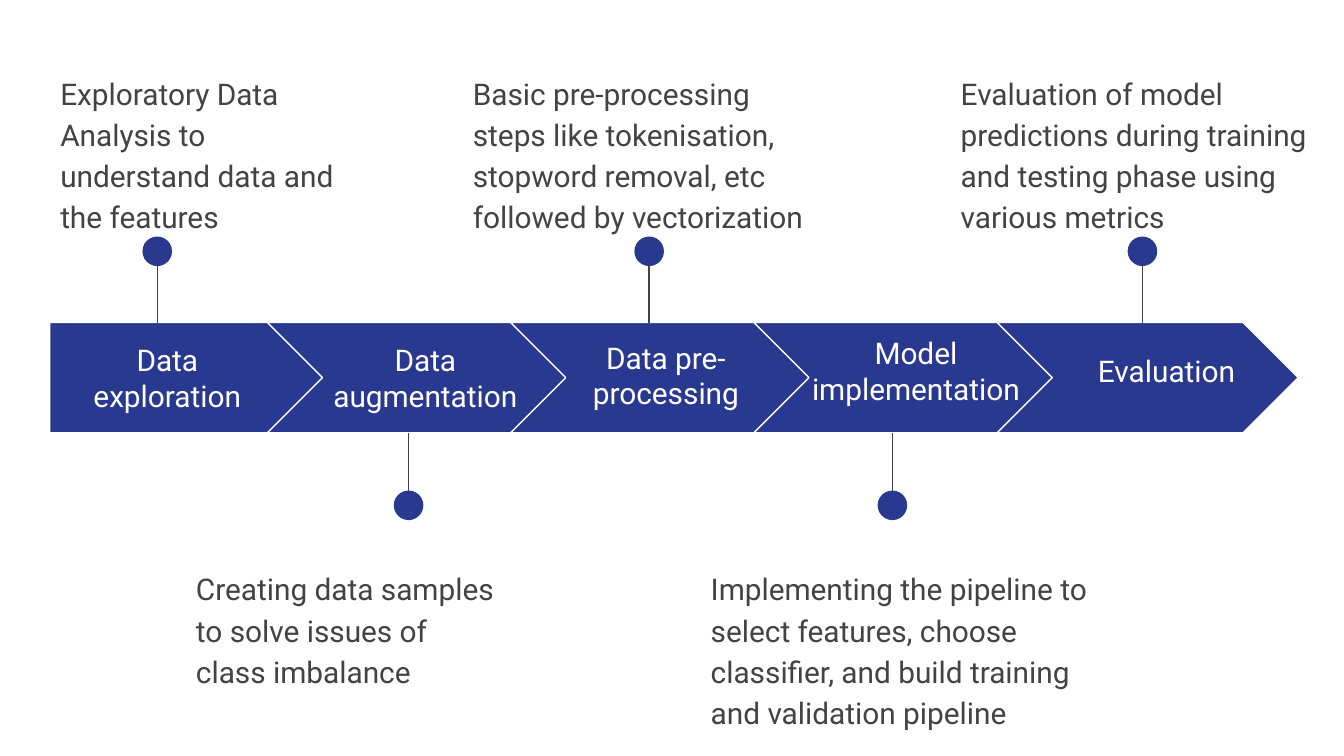
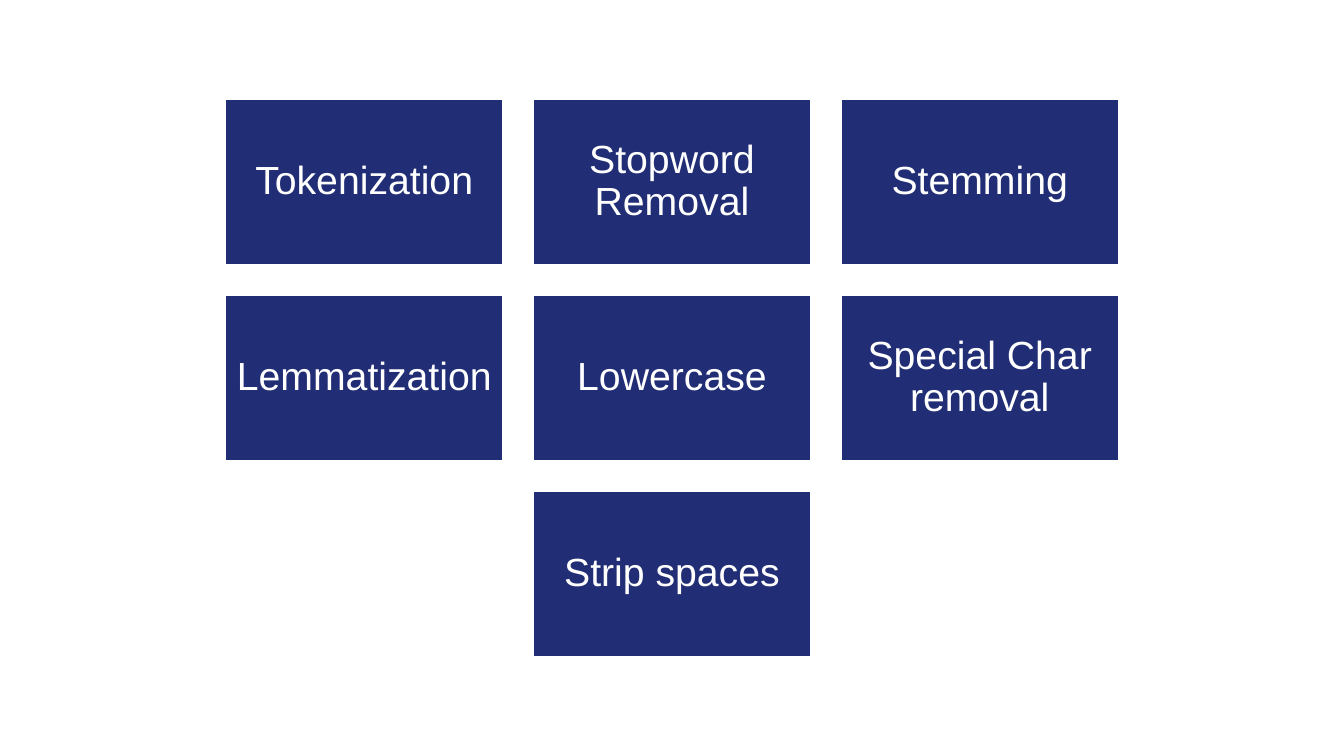
import dataclasses

import lxml.etree
import pptx
import pptx.dml.color
import pptx.enum.shapes
import pptx.enum.text
import pptx.oxml.ns
import pptx.util

Inches = pptx.util.Inches
Pt = pptx.util.Pt
RGBColor = pptx.dml.color.RGBColor
MSO_SHAPE = pptx.enum.shapes.MSO_SHAPE
PP_ALIGN = pptx.enum.text.PP_ALIGN
MSO_ANCHOR = pptx.enum.text.MSO_ANCHOR

WHITE = RGBColor(0xFF, 0xFF, 0xFF)
BLUE = RGBColor(0x2A, 0x39, 0x90)
NAVY = RGBColor(0x21, 0x2D, 0x74)
GRAY = RGBColor(0x43, 0x43, 0x43)
STEP_FONT = "Roboto"
CARD_FONT = "Arial"

SLIDE_WIDTH = 10
SLIDE_HEIGHT = SLIDE_WIDTH * 9 / 16
BLANK_LAYOUT = 6

STEP_PITCH = 1.81
BAND_LEFT, BAND_TOP, BAND_HEIGHT = 0.37, 2.4, 0.82
FIRST_STEP_WIDTH, CHEVRON_WIDTH = 2.05, 2.24
LABEL_HEIGHT = 0.51
CALLOUT_HEIGHT = 0.99
CALLOUT_ABOVE, CALLOUT_BELOW = 0.42, 4.11
DOT_SIZE = 0.22
DOT_ABOVE, DOT_BELOW = 1.76, 3.65

CARD_WIDTH, CARD_HEIGHT, CARD_GAP = 2.08, 1.25, 0.21
CARD_ROWS = [
    ["Tokenization", "Stopword Removal", "Stemming"],
    ["Lemmatization", "Lowercase", "Special Char removal"],
    ["Strip spaces"],
]


@dataclasses.dataclass
class Step:
    """One stage of the pipeline with its label and callout places."""

    label: str
    label_left: float
    label_width: float
    label_middle: float
    pin: float
    callout: str
    callout_left: float
    callout_width: float


STEPS = [
    Step("Data exploration", 0.45, 1.59, 2.81, 1.17,
         "Exploratory Data Analysis to understand data and the features", 0.35, 2.42),
    Step("Data augmentation", 2.32, 1.69, 2.81, 3.04,
         "Creating data samples to solve issues of class imbalance", 1.36, 2.45),
    Step("Data pre-processing", 4.11, 1.69, 2.79, 4.83,
         "Basic pre-processing steps like tokenisation, stopword removal, etc "
         "followed by vectorization", 3.42, 2.85),
    Step("Model implementation", 5.92, 1.79, 2.76, 6.64,
         "Implementing the pipeline to select features, choose classifier, "
         "and build training and validation pipeline", 5.19, 3.06),
    Step("Evaluation", 7.71, 1.94, 2.76, 8.5,
         "Evaluation of model predictions during training and testing phase "
         "using various metrics", 7.05, 2.91),
]


def add_filled_shape(shapes, kind, box, fill, line_width=None):
    """Add a flat preset shape, with a white outline if a line width is given."""
    shape = shapes.add_shape(kind, *map(Inches, box))
    shape.shadow.inherit = False
    shape.fill.solid()
    shape.fill.fore_color.rgb = fill
    if line_width is None:
        shape.line.fill.background()
    else:
        shape.line.color.rgb = WHITE
        shape.line.width = Pt(line_width)
    return shape


def write_text(shape, text, font, size, color, margin, centered, spacing):
    """Write one wrapped paragraph into a shape and return the paragraph."""
    frame = shape.text_frame
    frame.word_wrap = True
    frame.margin_left = frame.margin_right = Inches(margin)
    frame.margin_top = frame.margin_bottom = Inches(margin)
    frame.vertical_anchor = MSO_ANCHOR.MIDDLE if centered else MSO_ANCHOR.TOP
    paragraph = frame.paragraphs[0]
    paragraph.text = text
    paragraph.alignment = PP_ALIGN.CENTER if centered else PP_ALIGN.LEFT
    paragraph.line_spacing = spacing
    paragraph.font.name = font
    paragraph.font.size = Pt(size)
    paragraph.font.color.rgb = color
    return paragraph


def add_step_text(slide, box, text, color, centered, spacing):
    """Add a text box in the style of the process slide."""
    textbox = slide.shapes.add_textbox(*map(Inches, box))
    return write_text(textbox, text, STEP_FONT, 16, color, 0.1, centered, spacing)


def add_pin(slide, center, above):
    """Add a grouped stem and dot that tie a callout to the band."""
    group = slide.shapes.add_group_shape()
    dot_top = DOT_ABOVE if above else DOT_BELOW
    band_edge = BAND_TOP if above else BAND_TOP + BAND_HEIGHT
    stem = group.shapes.add_connector(
        pptx.enum.shapes.MSO_CONNECTOR.STRAIGHT,
        *map(Inches, (center, dot_top + DOT_SIZE / 2, center, band_edge)))
    stem.line.color.rgb = GRAY
    stem.line.width = Pt(0.75)
    lxml.etree.SubElement(stem._element.spPr, pptx.oxml.ns.qn("a:effectLst"))
    dot_box = (center - DOT_SIZE / 2, dot_top, DOT_SIZE, DOT_SIZE)
    add_filled_shape(group.shapes, MSO_SHAPE.OVAL, dot_box, BLUE)


def add_step(slide, index, step):
    """Add the arrow, label, pin and callout of one step."""
    above = index % 2 == 0
    kind = MSO_SHAPE.CHEVRON if index else MSO_SHAPE.PENTAGON
    width = CHEVRON_WIDTH if index else FIRST_STEP_WIDTH
    right = BAND_LEFT + FIRST_STEP_WIDTH + index * STEP_PITCH
    arrow_box = (right - width, BAND_TOP, width, BAND_HEIGHT)
    add_filled_shape(slide.shapes, kind, arrow_box, BLUE, 0.75)

    label_box = (step.label_left, step.label_middle - LABEL_HEIGHT / 2,
                 step.label_width, LABEL_HEIGHT)
    add_step_text(slide, label_box, step.label, WHITE, True, 1.0)
    add_pin(slide, step.pin, above)

    callout_box = (step.callout_left, CALLOUT_ABOVE if above else CALLOUT_BELOW,
                   step.callout_width, CALLOUT_HEIGHT)
    paragraph = add_step_text(slide, callout_box, step.callout, GRAY, False, 1.15)
    paragraph.space_after = Pt(16)


def centered_start(total, count, size):
    """Return where a run of equally spaced cards starts to be centred."""
    return (total - count * size - (count - 1) * CARD_GAP) / 2


def add_card_grid(slide, rows):
    """Add rows of cards, each row centred on the slide."""
    grid_top = centered_start(SLIDE_HEIGHT, len(rows), CARD_HEIGHT)
    for row_index, labels in enumerate(rows):
        row_left = centered_start(SLIDE_WIDTH, len(labels), CARD_WIDTH)
        top = grid_top + row_index * (CARD_HEIGHT + CARD_GAP)
        for column_index, label in enumerate(labels):
            left = row_left + column_index * (CARD_WIDTH + CARD_GAP)
            card = add_filled_shape(slide.shapes, MSO_SHAPE.RECTANGLE,
                                    (left, top, CARD_WIDTH, CARD_HEIGHT), NAVY, 2)
            write_text(card, label, CARD_FONT, 21, WHITE, 0.09, True, 0.9)


def add_blank_slide(presentation):
    """Add a slide without placeholders on a white background."""
    slide = presentation.slides.add_slide(presentation.slide_layouts[BLANK_LAYOUT])
    slide.background.fill.solid()
    slide.background.fill.fore_color.rgb = WHITE
    return slide


def main():
    """Build the process slide and the pre-processing slide."""
    presentation = pptx.Presentation()
    presentation.slide_width = Inches(SLIDE_WIDTH)
    presentation.slide_height = Inches(SLIDE_HEIGHT)

    process_slide = add_blank_slide(presentation)
    for index, step in enumerate(STEPS):
        add_step(process_slide, index, step)

    add_card_grid(add_blank_slide(presentation), CARD_ROWS)
    presentation.save("out.pptx")


if __name__ == "__main__":
    main()
